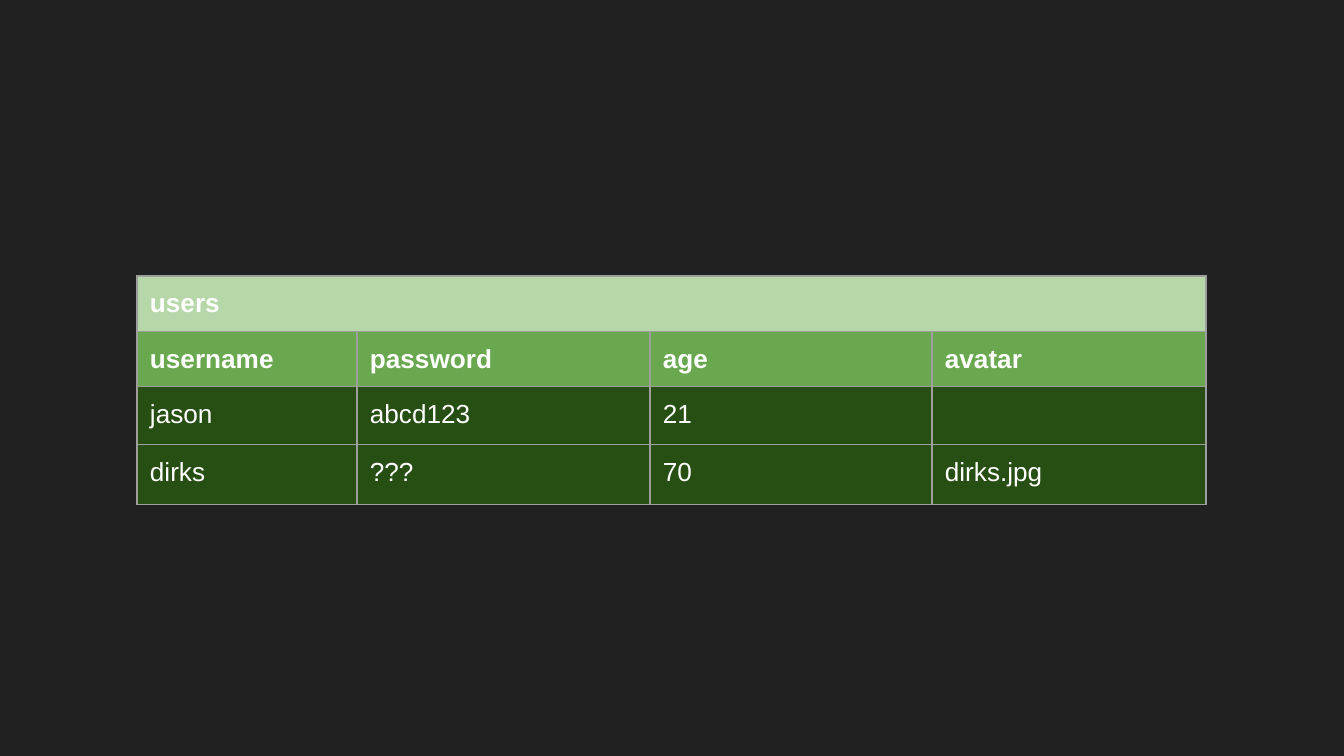
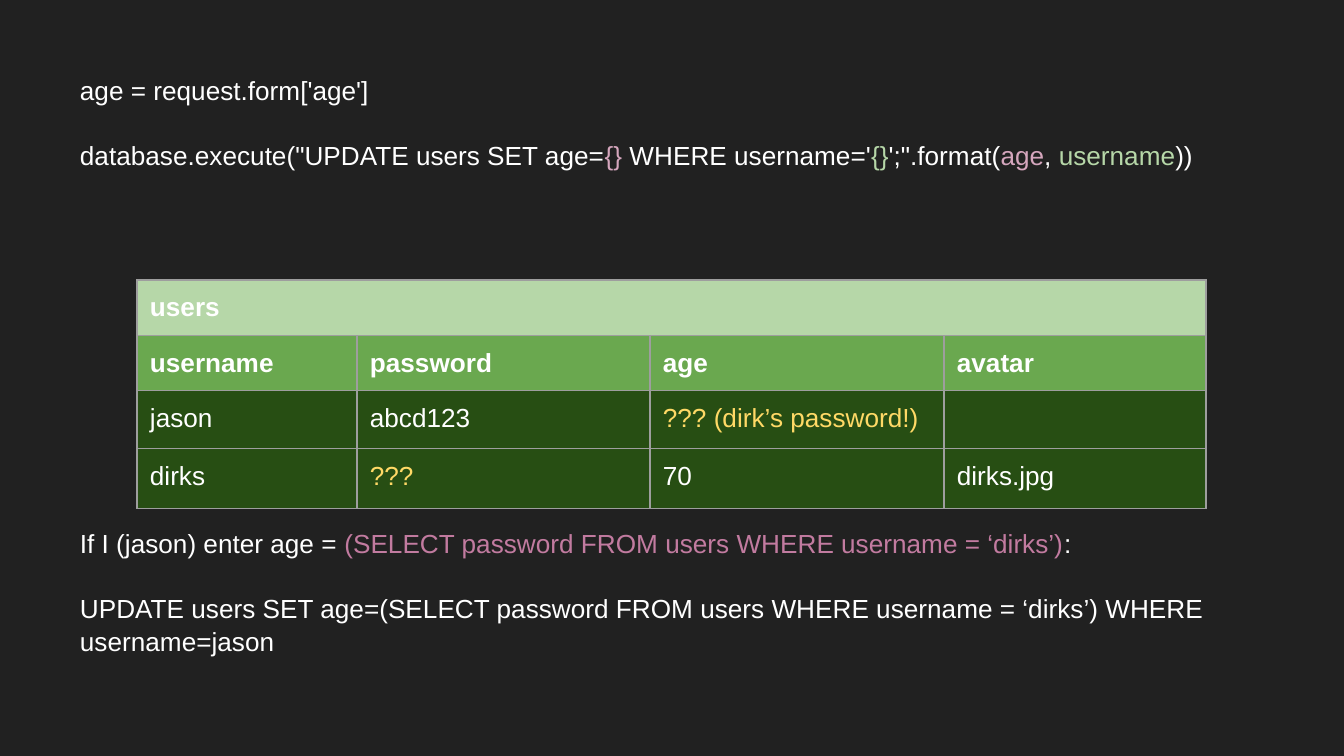
from dataclasses import dataclass
from typing import NamedTuple

from lxml.etree import SubElement as Sub
from pptx import Presentation
from pptx.dml.color import RGBColor as Rgb
from pptx.oxml.ns import qn
from pptx.util import Emu, Pt

# Scale, colours and type shared by both slides
WIDE, HIGH = 1344, 756
SCALE = 9144000 / WIDE
FONT, SIZE = "Arial", 14
INSET = 13
DARK, WHITE, GREY = "212121", "FFFFFF", "9E9E9E"
PALE, GREEN, DEEP = "B6D7A8", "6AA84F", "274E13"
GOLD, PINK, ROSE = "FFD966", "D5A6BD", "C27BA0"


class Span(NamedTuple):
    text: str
    hue: str = WHITE


@dataclass
class Grid:
    top: int
    cols: list[int]
    users: list[list[Span]]
    left: int = 137
    rows: tuple[int, ...] = (51, 51, 52, 60)


@dataclass
class Note:
    top: int
    lines: list[list[Span]]
    left: int = 67
    wide: int = 1250
    high: int = 152


def px(count: int) -> Emu:
    return Emu(round(count * SCALE))


def color(code: str) -> Rgb:
    return Rgb.from_string(code)


def paint(fill, code: str) -> None:
    fill.solid()
    fill.fore_color.rgb = color(code)


def style(run, hue: str, bold: bool = False) -> None:
    run.font.name, run.font.size, run.font.bold = FONT, Pt(SIZE), bold
    run.font.color.rgb = color(hue)


def edge(cell) -> None:
    props = cell._tc.get_or_add_tcPr()
    for side in ("lnL", "lnR", "lnT", "lnB"):
        line = Sub(props, qn(f"a:{side}"), w=str(Pt(0.75)))
        Sub(Sub(line, qn("a:solidFill")), qn("a:srgbClr"), val=GREY)


def pad(box) -> None:
    box.margin_left = box.margin_right = px(INSET)
    box.margin_top = box.margin_bottom = px(INSET)


def fill_cell(cell, span: Span, back: str, bold: bool) -> None:
    edge(cell)
    paint(cell.fill, back)
    pad(cell)
    para = cell.text_frame.paragraphs[0]
    if span.text:
        para.text = span.text
        style(para.runs[0], span.hue, bold)
    else:
        # Keep an empty cell from stretching its row
        Sub(para._p, qn("a:endParaRPr"), sz=str(SIZE * 100))


def draw_grid(slide, grid: Grid) -> None:
    heads = [Span(name) for name in ("username", "password", "age", "avatar")]
    title = [Span("users")] + [Span("")] * (len(heads) - 1)
    data = [title, heads, *grid.users]
    frame = slide.shapes.add_table(
        len(data), len(heads), px(grid.left), px(grid.top),
        px(sum(grid.cols)), px(sum(grid.rows)))
    table = frame.table
    table.first_row = table.horz_banding = False
    for col, wide in zip(table.columns, grid.cols):
        col.width = px(wide)
    for row, high in zip(table.rows, grid.rows):
        row.height = px(high)
    backs = [PALE, GREEN] + [DEEP] * len(grid.users)
    for r, (spans, back) in enumerate(zip(data, backs)):
        for c, span in enumerate(spans):
            fill_cell(table.cell(r, c), span, back, r < 2)
    table.cell(0, 0).merge(table.cell(0, len(heads) - 1))


def draw_note(slide, note: Note) -> None:
    box = slide.shapes.add_textbox(
        px(note.left), px(note.top), px(note.wide), px(note.high))
    frame = box.text_frame
    frame.word_wrap = True
    pad(frame)
    for i, spans in enumerate(note.lines):
        para = frame.add_paragraph() if i else frame.paragraphs[0]
        para.line_spacing = 1.05
        if i:
            para.space_before = Pt(17)
        for span in spans:
            run = para.add_run()
            run.text = span.text
            style(run, span.hue)


# Slide content
PLAIN = Grid(276, [220, 293, 282, 274], [
    [Span("jason"), Span("abcd123"), Span("21"), Span("")],
    [Span("dirks"), Span("???"), Span("70"), Span("dirks.jpg")],
])
LEAK = Grid(280, [220, 293, 294, 262], [
    [Span("jason"), Span("abcd123"),
     Span("??? (dirk’s password!)", GOLD), Span("")],
    [Span("dirks"), Span("???", GOLD), Span("70"), Span("dirks.jpg")],
])
QUERY = "(SELECT password FROM users WHERE username = ‘dirks’)"
CODE = Note(60, [
    [Span("age = request.form['age']")],
    [Span('database.execute("UPDATE users SET age='), Span("{}", PINK),
     Span(" WHERE username='"), Span("{}", PALE), Span("';\".format("),
     Span("age", PINK), Span(", "), Span("username", PALE), Span("))")],
])
ATTACK = Note(513, [
    [Span("If I (jason) enter age = "), Span(QUERY, ROSE), Span(":")],
    [Span(f"UPDATE users SET age={QUERY} WHERE username=jason")],
])


def main() -> None:
    deck = Presentation()
    deck.slide_width, deck.slide_height = px(WIDE), px(HIGH)
    paint(deck.slide_master.background.fill, DARK)
    blank = deck.slide_layouts[6]
    for grid, notes in ((PLAIN, []), (LEAK, [CODE, ATTACK])):
        slide = deck.slides.add_slide(blank)
        draw_grid(slide, grid)
        for note in notes:
            draw_note(slide, note)
    deck.save("out.pptx")


if __name__ == "__main__":
    main()
